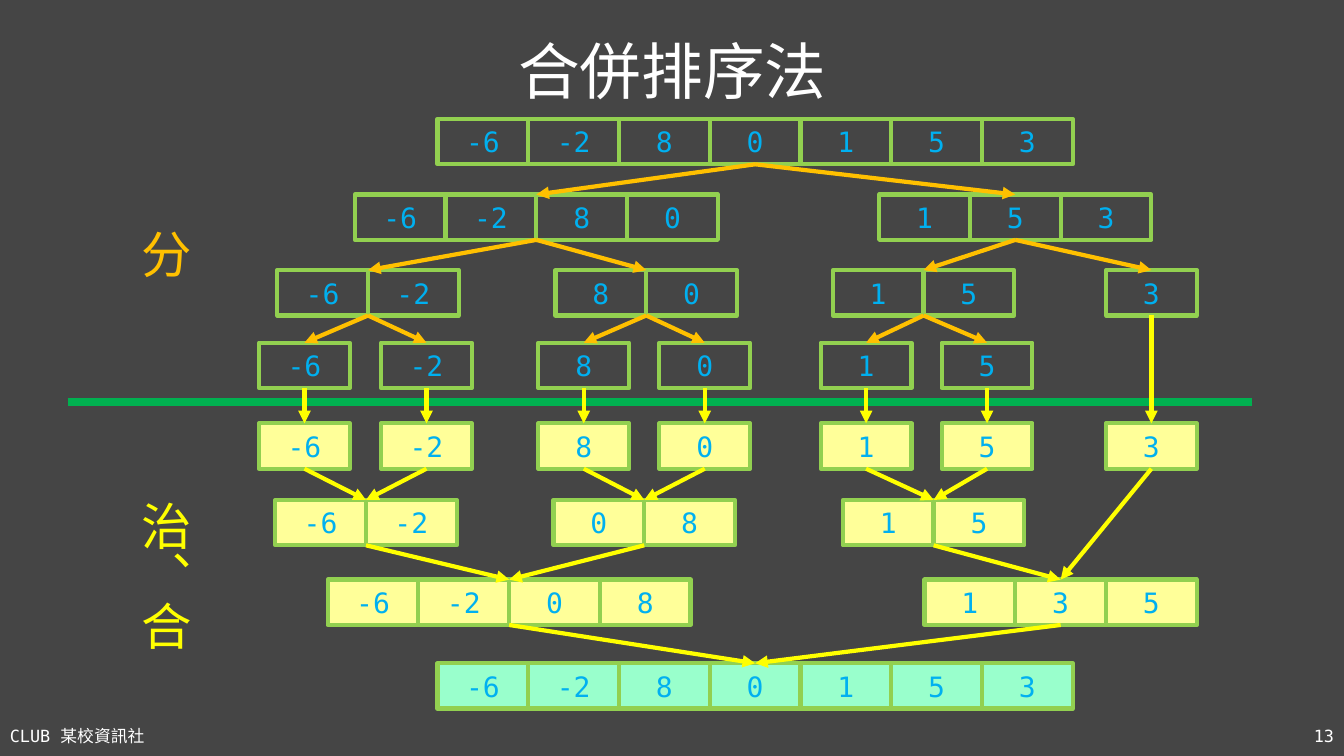
from dataclasses import dataclass
from typing import Any

from lxml import etree
from pptx import Presentation
from pptx.dml.color import RGBColor
from pptx.enum.shapes import MSO_CONNECTOR, MSO_SHAPE
from pptx.enum.text import MSO_ANCHOR, MSO_AUTO_SIZE, PP_ALIGN
from pptx.oxml.ns import qn
from pptx.util import Inches, Pt

RECTANGLE = MSO_SHAPE.RECTANGLE
STRAIGHT = MSO_CONNECTOR.STRAIGHT
MIDDLE, TOP = MSO_ANCHOR.MIDDLE, MSO_ANCHOR.TOP
LEFT, CENTER, RIGHT = PP_ALIGN.LEFT, PP_ALIGN.CENTER, PP_ALIGN.RIGHT
GROW = MSO_AUTO_SIZE.SHAPE_TO_FIT_TEXT
TOP_SIDE, BOTTOM_SIDE = 0, 2
CELL_WIDTH, CELL_HEIGHT = 0.9, 0.45


@dataclass(frozen=True)
class Theme:
    font: str = "DejaVu Sans Mono"
    background: str = "454545"
    text: str = "FFFFFF"
    number: str = "00B0F0"
    border: str = "92D050"
    divider: str = "00B050"
    split: str = "FFC000"
    merge: str = "FFFF00"
    merge_fill: str = "FFFF99"
    result_fill: str = "99FFCC"
    title_size: int = 44
    label_size: int = 36
    number_size: int = 20
    footer_size: int = 12
    line_width: int = 3
    divider_width: int = 6


@dataclass
class Run:
    center: float
    top: float
    middle_cell: Any


def write(frame, text, *, font, size, color, align=CENTER, anchor=MIDDLE, wrap=True, spacing=None):
    frame.word_wrap = wrap
    frame.vertical_anchor = anchor
    paragraph = frame.paragraphs[0]
    paragraph.alignment = align
    if spacing:
        paragraph.line_spacing = spacing
    run = paragraph.add_run()
    run.text = text
    run.font.name = font
    run.font.size = Pt(size)
    run.font.color.rgb = RGBColor.from_string(color)
    etree.SubElement(run.font._element, qn("a:ea"), typeface=font)


class MergeSortSlide:
    def __init__(self, presentation, theme):
        self.theme = theme
        self.slide = presentation.slides.add_slide(presentation.slide_layouts[5])
        self.shapes = self.slide.shapes
        background = self.slide.background.fill
        background.solid()
        background.fore_color.rgb = RGBColor.from_string(theme.background)

    def title(self, text):
        heading = self.shapes.title
        heading.left, heading.top = Inches(0.92), Inches(0.01)
        heading.width, heading.height = Inches(11.5), Inches(1.45)
        write(heading.text_frame, text, font=self.theme.font, size=self.theme.title_size,
              color=self.theme.text, spacing=0.9)

    def footer(self, left, text, align):
        box = self.shapes.add_textbox(Inches(left), Inches(7.1), Inches(3), Inches(0.4))
        write(box.text_frame, text, font=self.theme.font, size=self.theme.footer_size,
              color=self.theme.text, align=align)

    def phase(self, top, height, text, color):
        box = self.shapes.add_textbox(Inches(1.17), Inches(top), Inches(0.81), Inches(height))
        write(box.text_frame, text, font=self.theme.font, size=self.theme.label_size,
              color=color, anchor=TOP, wrap=False)
        box.text_frame.auto_size = GROW
        box.text_frame._txBody.bodyPr.set("vert", "eaVert")

    def cell(self, shapes, left, top, value, fill):
        cell = shapes.add_shape(RECTANGLE, Inches(left), Inches(top),
                                Inches(CELL_WIDTH), Inches(CELL_HEIGHT))
        cell.shadow.inherit = False
        if fill:
            cell.fill.solid()
            cell.fill.fore_color.rgb = RGBColor.from_string(fill)
        else:
            cell.fill.background()
        cell.line.color.rgb = RGBColor.from_string(self.theme.border)
        cell.line.width = Pt(self.theme.line_width)
        write(cell.text_frame, value, font=self.theme.font, size=self.theme.number_size,
              color=self.theme.number)
        return cell

    def run(self, center, top, values, fill):
        numbers = values.split()
        count = len(numbers)
        shapes = self.shapes.add_group_shape().shapes if count > 1 else self.shapes
        left = center - count * CELL_WIDTH / 2
        cells = [self.cell(shapes, left + i * CELL_WIDTH, top, number, fill)
                 for i, number in enumerate(numbers)]
        return Run(center, top, cells[count // 2] if count % 2 else None)

    def row(self, top, runs, fill=None):
        return [self.run(center, top, values, fill) for center, values in runs]

    def line(self, start, end, color, width):
        line = self.shapes.add_connector(STRAIGHT, *(Inches(n) for n in (*start, *end)))
        line.line.color.rgb = RGBColor.from_string(color)
        line.line.width = Pt(width)
        etree.SubElement(line.element.spPr, qn("a:effectLst"))
        return line

    def divider(self):
        self.line((0.67, 3.99), (12.42, 3.99), self.theme.divider, self.theme.divider_width)

    def arrow(self, source, target, color):
        arrow = self.line((source.center, source.top + CELL_HEIGHT),
                          (target.center, target.top), color, self.theme.line_width)
        etree.SubElement(arrow.element.spPr.find(qn("a:ln")), qn("a:tailEnd"), type="triangle")
        if source.middle_cell is not None:
            arrow.begin_connect(source.middle_cell, BOTTOM_SIDE)
        if target.middle_cell is not None:
            arrow.end_connect(target.middle_cell, TOP_SIDE)


def main():
    presentation = Presentation()
    presentation.slide_width, presentation.slide_height = Inches(13.33), Inches(7.5)
    theme = Theme()
    page = MergeSortSlide(presentation, theme)
    page.footer(0, "CLUB 某校資訊社", LEFT)
    page.footer(10.33, "13", RIGHT)
    page.title("合併排序法")
    page.divider()

    all_numbers = [(7.49, "-6 -2 8 0 1 5 3")]
    single_numbers = [(3.02, "-6"), (4.23, "-2"), (5.79, "8"),
                      (6.99, "0"), (8.59, "1"), (9.79, "5")]
    last_number = (11.42, "3")

    whole = page.row(1.18, all_numbers)
    halves = page.row(1.93, [(5.32, "-6 -2 8 0"), (10.07, "1 5 3")])
    pairs = page.row(2.68, [(3.65, "-6 -2"), (6.41, "8 0"), (9.16, "1 5"), last_number])
    singles = page.row(3.4, single_numbers)

    sorted_singles = page.row(4.2, single_numbers + [last_number], theme.merge_fill)
    merged_pairs = page.row(4.96, [(3.63, "-6 -2"), (6.39, "0 8"), (9.26, "1 5")],
                            theme.merge_fill)
    merged_halves = page.row(5.75, [(5.05, "-6 -2 0 8"), (10.52, "1 3 5")], theme.merge_fill)
    result = page.row(6.58, all_numbers, theme.result_fill)

    for parents, children in ((whole, halves), (halves, pairs), (pairs, singles)):
        for i, child in enumerate(children):
            page.arrow(parents[i // 2], child, theme.split)

    for source, target in zip(singles + pairs[-1:], sorted_singles):
        page.arrow(source, target, theme.merge)

    for sources, targets in ((sorted_singles[:-1], merged_pairs),
                             (merged_pairs + sorted_singles[-1:], merged_halves),
                             (merged_halves, result)):
        for i, source in enumerate(sources):
            page.arrow(source, targets[i // 2], theme.merge)

    page.phase(2.17, 0.61, "分", theme.split)
    page.phase(4.87, 1.62, "治、合", theme.merge)
    presentation.save("out.pptx")


if __name__ == "__main__":
    main()
